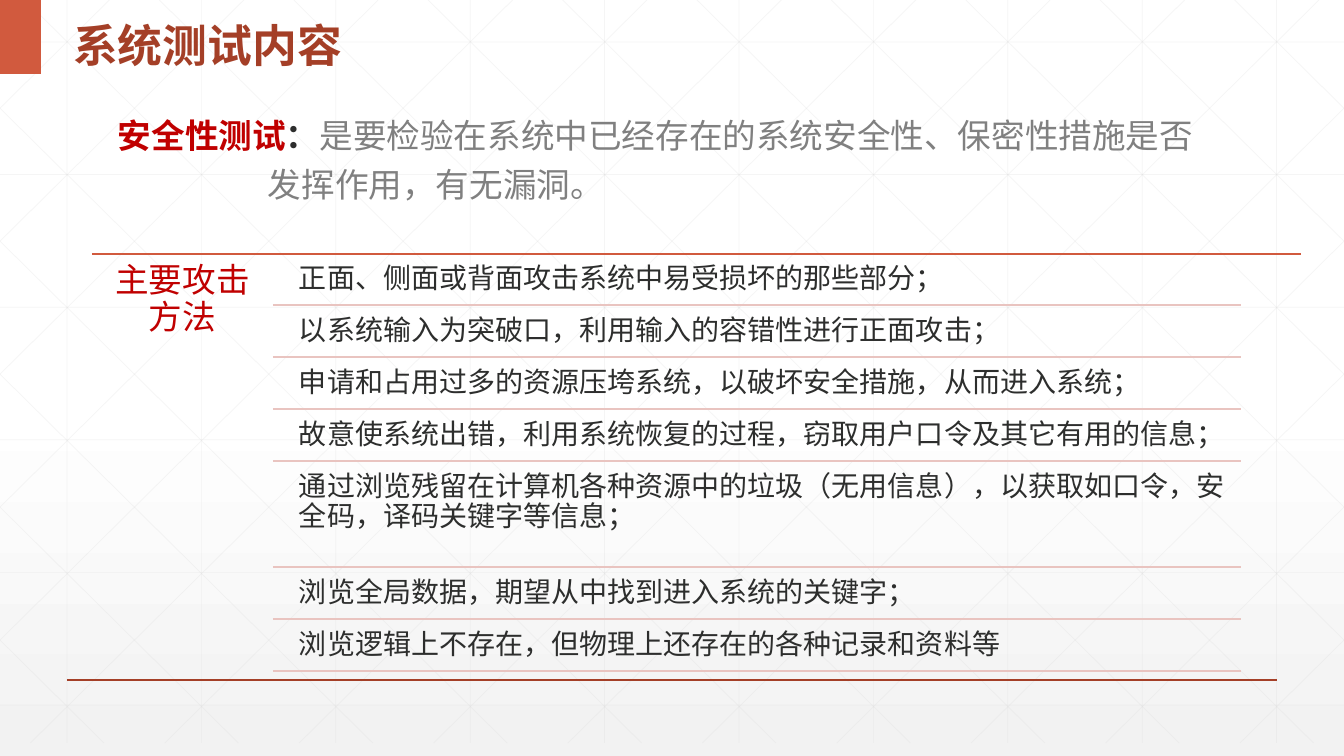
import pptx
import pptx.util
import pptx.dml.color
import pptx.enum.shapes
import pptx.enum.text
import pptx.oxml
import pptx.oxml.ns

WIDE, HIGH, FLOOR = 1344, 756, 743
SCALE = 12192000 / WIDE
FONT = "Noto Sans CJK SC"
INK = {
    "white": "FFFFFF", "mist": "F2F2F2", "grid": "D9D9D9", "rust": "A43F27",
    "brick": "D15A3E", "red": "C00000", "dark": "2D2E2D", "gray": "808080",
    "pink": "E9C4C0",
}
ALIGN = pptx.enum.text.PP_ALIGN
ANCHOR = pptx.enum.text.MSO_ANCHOR
ATTACKS = [
    ("正面、侧面或背面攻击系统中易受损坏的那些部分；", 49),
    ("以系统输入为突破口，利用输入的容错性进行正面攻击；", 49),
    ("申请和占用过多的资源压垮系统，以破坏安全措施，从而进入系统；", 49),
    ("故意使系统出错，利用系统恢复的过程，窃取用户口令及其它有用的信息；", 49),
    ("通过浏览残留在计算机各种资源中的垃圾（无用信息），以获取如口令，安全码，译码关键字等信息；", 103),
    ("浏览全局数据，期望从中找到进入系统的关键字；", 49),
    ("浏览逻辑上不存在，但物理上还存在的各种记录和资料等", 49),
]


def px(num):
    return pptx.util.Emu(round(num * SCALE))


def color(name):
    return pptx.dml.color.RGBColor.from_string(INK[name])


def node(root, tag, **attrs):
    item = pptx.oxml.parse_xml(f'<a:{tag} {pptx.oxml.ns.nsdecls("a")}/>')
    for key, value in attrs.items():
        item.set(key, value)
    root.append(item)


def write(para, text, size=20, ink="dark", bold=False, face=FONT,
          align=ALIGN.LEFT, space=None):
    para.alignment = align
    if space:
        para.line_spacing = space
    run = para.add_run()
    run.text = text
    run.font.size = pptx.util.Pt(size)
    run.font.bold = bold
    run.font.color.rgb = color(ink)
    run.font.name = face
    node(run.font._element, "ea", typeface=FONT)


class Board:
    def __init__(self, deck):
        self.slide = deck.slides.add_slide(deck.slide_layouts[5])
        self.shapes = self.slide.shapes

    def shade(self):
        fill = self.slide.background.fill
        fill.gradient()
        fill.gradient_angle = 270
        for stop, (spot, ink) in zip(fill.gradient_stops, [(0.53, "white"), (1, "mist")]):
            stop.position = spot
            stop.color.rgb = color(ink)

    def line(self, x1, y1, x2, y2, ink, width=1, alpha=None):
        kind = pptx.enum.shapes.MSO_CONNECTOR.STRAIGHT
        rule = self.shapes.add_connector(kind, px(x1), px(y1), px(x2), px(y2))
        rule.line.width = pptx.util.Pt(width)
        rule.line.color.rgb = color(ink)
        if alpha:
            tint = rule._element.spPr.find(".//" + pptx.oxml.ns.qn("a:srgbClr"))
            node(tint, "alpha", val=str(alpha * 1000))
        node(rule._element.spPr, "effectLst")

    def block(self, x, y, w, h, ink):
        kind = pptx.enum.shapes.MSO_SHAPE.RECTANGLE
        shape = self.shapes.add_shape(kind, px(x), px(y), px(w), px(h))
        shape.shadow.inherit = False
        shape.fill.solid()
        shape.fill.fore_color.rgb = color(ink)
        shape.line.fill.background()

    def box(self, x, y, w, h, side=10, top=5):
        frame = self.shapes.add_textbox(px(x), px(y), px(w), px(h)).text_frame
        frame.word_wrap = True
        frame.margin_left = frame.margin_right = px(side)
        frame.margin_top = frame.margin_bottom = px(top)
        return frame

    def title(self, text, x, y, w, h):
        head = self.shapes.title
        head.left, head.top, head.width, head.height = px(x), px(y), px(w), px(h)
        frame = head.text_frame
        frame.vertical_anchor = ANCHOR.MIDDLE
        frame.auto_size = pptx.enum.text.MSO_AUTO_SIZE.NONE
        write(frame.paragraphs[0], text, size=32, ink="rust", bold=True, space=1.3)
        self.shapes._spTree.append(head._element)

    def grid(self):
        step, drop = 134.4, 132.6
        lean = 751 / FLOOR
        for i in range(10):
            self.line(67 + i * step, 0, 67 + i * step, FLOOR, "grid", 0.5, 25)
        for i in range(6):
            self.line(0, 42 + i * drop, WIDE, 42 + i * drop, "grid", 0.5, 25)
        for i in range(-5, 10):
            start = 25 + i * step
            x1, x2 = max(start, 0), min(start + FLOOR * lean, WIDE)
            y1, y2 = (x1 - start) / lean, (x2 - start) / lean
            self.line(x1, y1, x2, y2, "grid", 0.5, 25)
            self.line(WIDE - x1, y1, WIDE - x2, y2, "grid", 0.5, 25)


def main():
    deck = pptx.Presentation()
    deck.slide_width, deck.slide_height = px(WIDE), px(HIGH)
    board = Board(deck)
    board.shade()
    board.grid()
    board.line(67, 680, 1277, 680, "rust")
    board.block(0, 0, 41, 74, "brick")
    board.title("系统测试内容", 63, 0, 574, 74)

    intro = board.box(108, 110, 1118, 100)
    first = intro.paragraphs[0]
    write(first, "安全性测试", size=24, ink="red", bold=True)
    write(first, "：", size=24, bold=True)
    write(first, "是要检验在系统中已经存在的系统安全性、保密性措施是否", size=24, ink="gray")
    second = intro.add_paragraph()
    second.space_before = pptx.util.Pt(6)
    second._p.get_or_add_pPr().set("marL", str(px(150)))
    write(second, "发挥作用，有无漏洞。", size=24, ink="gray")

    board.line(92, 254, 1301, 254, "brick")
    label = board.box(92, 254, 181, 419, top=10)
    write(label.paragraphs[0], "主要攻击方法", size=24, ink="red", face="Arial",
          align=ALIGN.CENTER, space=0.9)
    y = 256
    for text, tall in ATTACKS:
        row = board.box(291, y, 950, tall, side=8, top=8)
        write(row.paragraphs[0], text, space=0.9)
        y += tall
        board.line(273, y, 1241, y, "pink")
        y += 3
    deck.save("out.pptx")


if __name__ == "__main__":
    main()
